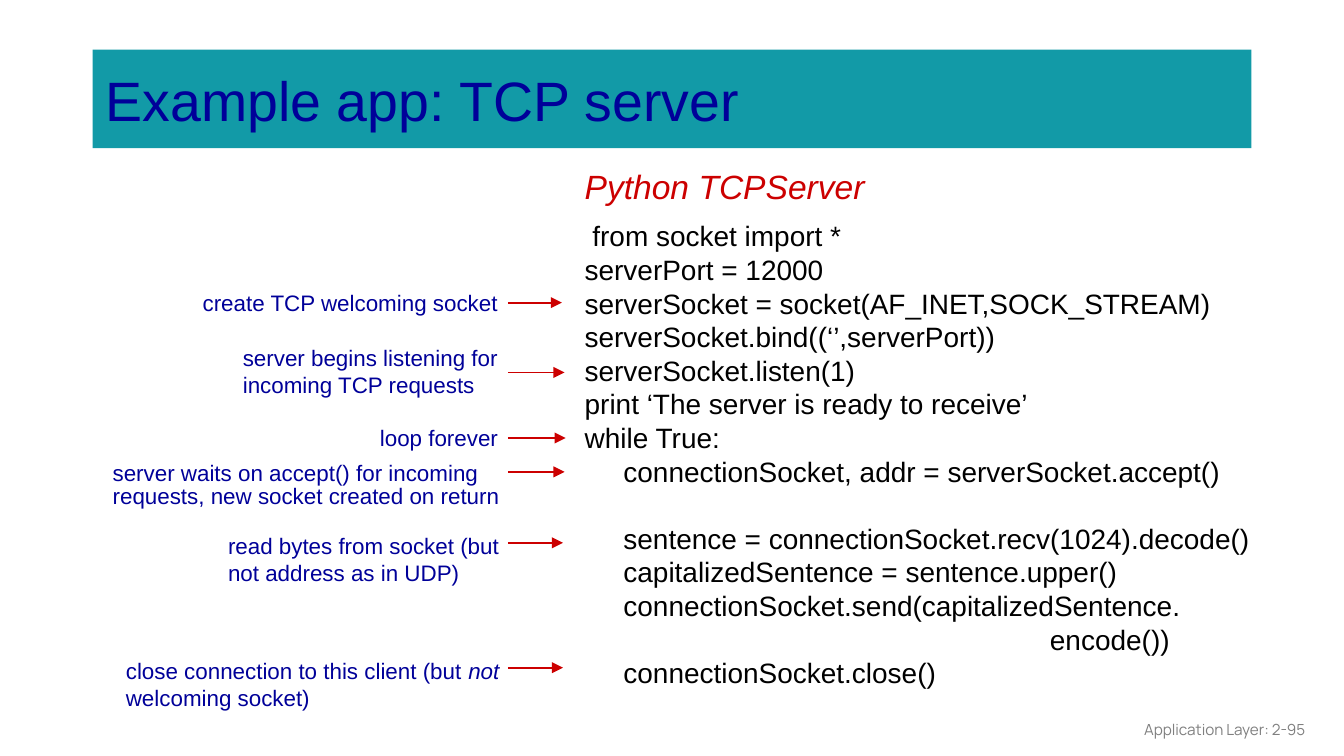
from pptx import Presentation
from pptx import util as u
from pptx.dml.color import RGBColor
from pptx.enum import shapes, text
from pptx.oxml.ns import qn
from lxml import etree

TEAL = RGBColor(0x12, 0x9A, 0xA7)
NAVY = RGBColor(0x00, 0x00, 0x99)
RED = RGBColor(0xCC, 0x00, 0x00)
BLACK = RGBColor(0x00, 0x00, 0x00)
GREY = RGBColor(0x80, 0x80, 0x80)

prs = Presentation()
prs.slide_width, prs.slide_height = u.Cm(25.4), u.Cm(14.29)
s = prs.slides.add_slide(prs.slide_layouts[6])


def write(sp, lines, size, color, font="Arial", italic=False, wrap=True,
          align=text.PP_ALIGN.LEFT, anchor=text.MSO_ANCHOR.TOP, spacing=None, inset=0.13):
    """Fill a shape with lines; *stars* inside a line list toggle italics when paired."""
    tf = sp.text_frame
    tf.word_wrap, tf.vertical_anchor = wrap, anchor
    tf.margin_top = tf.margin_bottom = u.Cm(inset)
    for i, line in enumerate(lines):
        p = tf.paragraphs[0] if i == 0 else tf.add_paragraph()
        p.alignment = align
        if spacing:
            p.line_spacing = spacing
        parts = line.split("*") if line.count("*") == 2 else [line]
        for j, part in enumerate(parts):
            r = p.add_run()
            r.text = part
            r.font.name, r.font.size = font, u.Pt(size)
            r.font.color.rgb = color
            r.font.italic = italic or j == 1
    return tf


title = s.shapes.add_shape(shapes.MSO_SHAPE.RECTANGLE,
                           u.Cm(1.75), u.Cm(0.94), u.Cm(21.9), u.Cm(1.86))
title.shadow.inherit = False
title.fill.solid()
title.fill.fore_color.rgb = TEAL
title.line.fill.background()
write(title, ["Example app: TCP server"], 29.7, NAVY, anchor=text.MSO_ANCHOR.MIDDLE)

code = [
    " from socket import *",
    "serverPort = 12000",
    "serverSocket = socket(AF_INET,SOCK_STREAM)",
    "serverSocket.bind((‘’,serverPort))",
    "serverSocket.listen(1)",
    "print ‘The server is ready to receive’",
    "while True:",
    "     connectionSocket, addr = serverSocket.accept()",
    "     sentence = connectionSocket.recv(1024).decode()",
    "     capitalizedSentence = sentence.upper()",
    "     connectionSocket.send(capitalizedSentence.",
    "                                                            encode())",
    "     connectionSocket.close()",
]
sp = s.shapes.add_textbox(u.Cm(10.8), u.Cm(4.01), u.Cm(13.23), u.Cm(9.25))
tf = write(sp, code, 15, BLACK, wrap=False)
tf.paragraphs[8].space_before = u.Pt(18)

sp = s.shapes.add_textbox(u.Cm(10.8), u.Cm(3), u.Cm(5.87), u.Cm(1.02))
write(sp, ["Python TCPServer"], 18, RED, italic=True, wrap=False)

# label, left, top, width, height, line spacing, arrow height, arrow end
notes = [
    ("create TCP welcoming socket", 3.58, 5.33, 6.38, 0.76, None, 5.72, 10.62),
    ("server begins listening for incoming TCP requests", 4.34, 6.38, 5.99, 1.27, None, 7.04, 10.67),
    ("loop forever", 6.93, 7.98, 3.86, 0.69, u.Pt(12), 8.28, 10.69),
    ("server waits on accept() for incoming requests, new socket created on return",
     1.88, 8.64, 8.89, 1.12, u.Pt(12), 8.92, 10.67),
    ("read bytes from socket (but not address as in UDP)", 4.06, 9.93, 5.72, 1.27, None, 10.26, 10.64),
    ("close connection to this client (but *not* welcoming socket)",
     2.13, 12.29, 8.13, 1.27, None, 12.62, 10.64),
]
for label, left, top, width, height, spacing, y, end in notes:
    group = s.shapes.add_group_shape()
    sp = group.shapes.add_textbox(u.Cm(left), u.Cm(top), u.Cm(width), u.Cm(height))
    write(sp, [label], 12, NAVY, spacing=spacing)
    arrow = group.shapes.add_connector(shapes.MSO_CONNECTOR.STRAIGHT,
                                       u.Cm(9.6), u.Cm(y), u.Cm(end), u.Cm(y))
    arrow.line.color.rgb = RED
    arrow.line.width = u.Pt(1)
    etree.SubElement(arrow.line._get_or_add_ln(), qn("a:tailEnd"), type="triangle")
    etree.SubElement(arrow._element.spPr, qn("a:effectLst"))

sp = s.shapes.add_textbox(u.Cm(19.2), u.Cm(13.41), u.Cm(5.72), u.Cm(0.76))
write(sp, ["Application Layer: 2-95"], 8.2, GREY, font="Manrope",
      align=text.PP_ALIGN.RIGHT, anchor=text.MSO_ANCHOR.MIDDLE)

prs.save("out.pptx")
